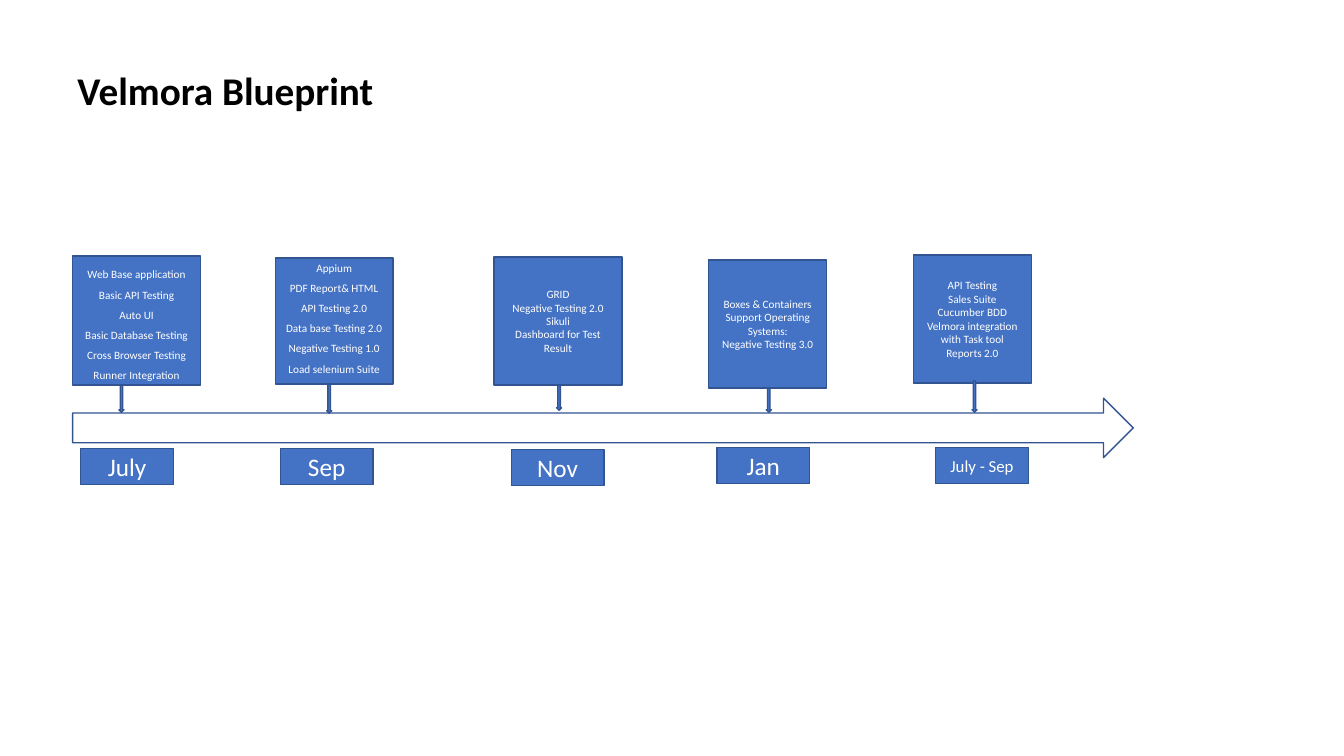
from pptx import Presentation
from pptx.dml.color import RGBColor
from pptx.enum.shapes import MSO_SHAPE
from pptx.enum.text import MSO_ANCHOR, PP_ALIGN
from pptx.util import Pt

PX = 9144
BLUE = RGBColor(0x44, 0x72, 0xC4)
EDGE = RGBColor(0x32, 0x54, 0x91)
WHITE = RGBColor(0xFF, 0xFF, 0xFF)
BLACK = RGBColor(0, 0, 0)
RECT = MSO_SHAPE.RECTANGLE
DOWN = MSO_SHAPE.DOWN_ARROW
RIGHT = MSO_SHAPE.RIGHT_ARROW
TOP, MID, LOW = MSO_ANCHOR.TOP, MSO_ANCHOR.MIDDLE, MSO_ANCHOR.BOTTOM
LEFT, MIDDLE = PP_ALIGN.LEFT, PP_ALIGN.CENTER

BOXES = [
    ((72, 254, 127, 128),
     ["Web Base application", "Basic API Testing", "Auto UI",
      "Basic Database Testing", "Cross Browser Testing", "Runner Integration"],
     dict(space=1.5, anchor=TOP)),
    ((273, 256, 117, 125),
     ["Appium", "PDF Report& HTML", "API Testing 2.0",
      "Data base Testing 2.0", "Negative Testing 1.0", "Load selenium Suite"],
     dict(space=1.5, base=17)),
    ((490, 255, 127, 127),
     ["GRID", "Negative Testing 2.0", "Sikuli", "Dashboard for Test Result"],
     {}),
    ((703, 258, 117, 127),
     ["Boxes & Containers", "Support Operating Systems:",
      "Negative Testing 3.0"],
     {}),
    ((906, 253, 117, 127),
     ["API Testing", "Sales Suite", "Cucumber BDD",
      "Velmora integration with Task tool", "Reports 2.0"],
     {}),
]
PINS = [(118, 380, 29), (324, 377, 33), (552, 376, 31),
        (760, 378, 31), (964, 378, 31)]
DATES = [("July", 80, 445, 18), ("Sep", 278, 445, 18), ("Nov", 507, 446, 18),
         ("Jan", 711, 444, 18), ("July - Sep", 928, 444, 12)]


def write(shape, lines, size=8, color=WHITE, bold=False, align=MIDDLE,
          anchor=MID, space=1.0, base=5):
    frame = shape.text_frame
    frame.word_wrap = True
    frame.vertical_anchor = anchor
    frame.margin_bottom = base * PX
    for i, line in enumerate(lines):
        para = frame.add_paragraph() if i else frame.paragraphs[0]
        para.alignment = align
        para.line_spacing = space
        run = para.add_run()
        run.text = line
        font = run.font
        font.name = "Calibri"
        font.size = Pt(size)
        font.bold = bold
        font.color.rgb = color


def draw(slide, kind, place, fill=BLUE):
    shape = slide.shapes.add_shape(kind, *(n * PX for n in place))
    shape.shadow.inherit = False
    if fill is None:
        shape.fill.background()
    else:
        shape.fill.solid()
        shape.fill.fore_color.rgb = fill
    shape.line.color.rgb = EDGE
    shape.line.width = Pt(1)
    return shape


def pin(slide, left, top, high):
    draw(slide, DOWN, (left, top, 5, high))


def main():
    deck = Presentation()
    deck.slide_width = 1333 * PX
    deck.slide_height = 750 * PX
    slide = deck.slides.add_slide(deck.slide_layouts[6])

    title = slide.shapes.add_textbox(*(n * PX for n in (67, 31, 1174, 87)))
    write(title, ["Velmora Blueprint"], size=28, color=BLACK, bold=True,
          align=LEFT, anchor=LOW, space=0.9)

    draw(slide, RIGHT, (72, 395, 1052, 59), fill=None)
    for place in PINS[:-1]:
        pin(slide, *place)
    for place, lines, style in BOXES:
        write(draw(slide, RECT, place), lines, **style)
    pin(slide, *PINS[-1])
    for name, left, top, size in DATES:
        write(draw(slide, RECT, (left, top, 92, 36)), [name], size=size)

    deck.save("out.pptx")


if __name__ == "__main__":
    main()
